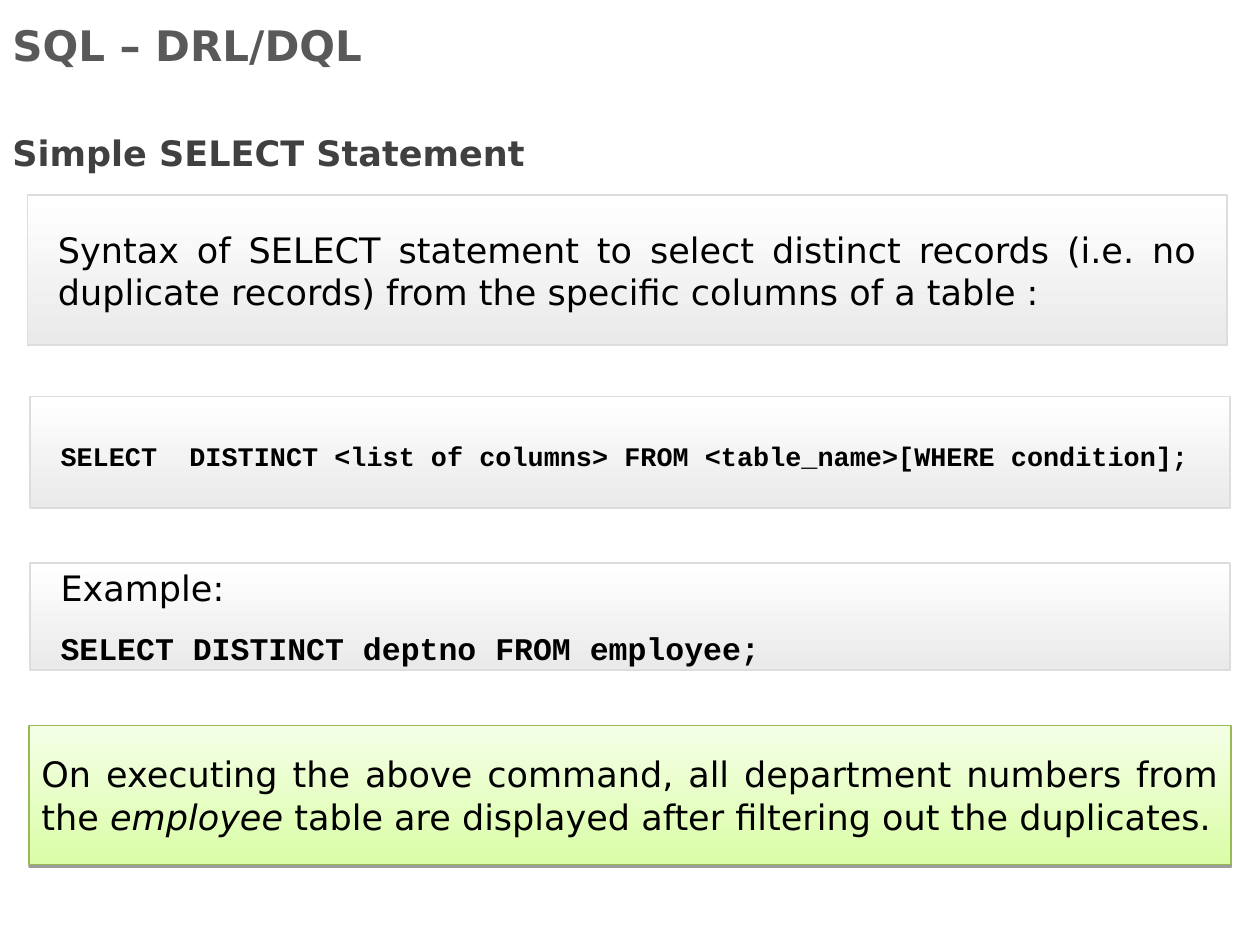
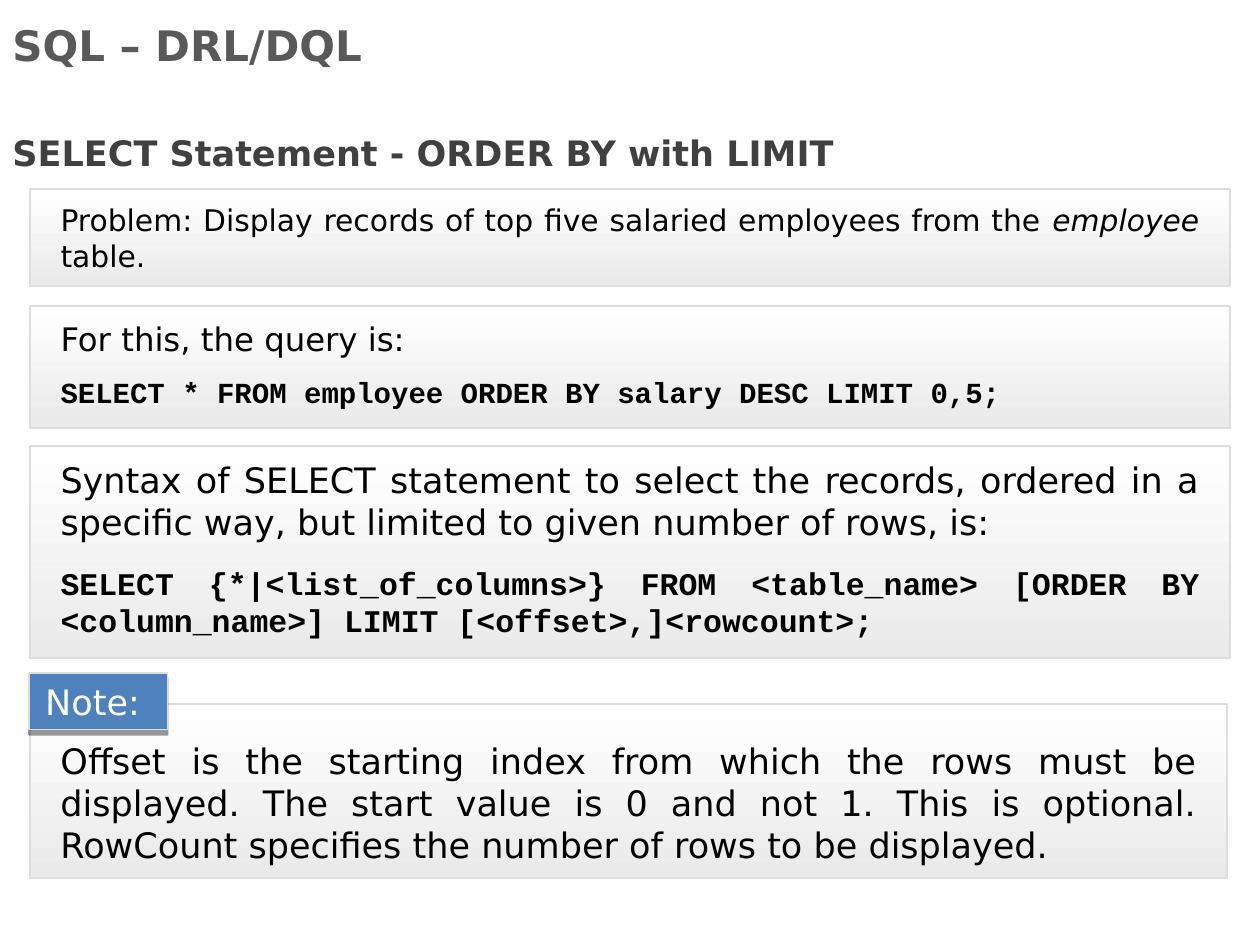
from lxml import etree
from pptx import Presentation
from pptx.dml.color import RGBColor
from pptx.enum.shapes import MSO_SHAPE
from pptx.enum.text import MSO_ANCHOR, PP_ALIGN
from pptx.oxml.ns import qn
from pptx.util import Pt

RECTANGLE = MSO_SHAPE.RECTANGLE
TOP, MIDDLE, BOTTOM = MSO_ANCHOR.TOP, MSO_ANCHOR.MIDDLE, MSO_ANCHOR.BOTTOM
LEFT, CENTER, JUSTIFY = PP_ALIGN.LEFT, PP_ALIGN.CENTER, PP_ALIGN.JUSTIFY

SANS, MONO = "DejaVu Sans", "Courier New"
BLACK, WHITE = "000000", "FFFFFF"
TITLE_GREY, HEADING_GREY, BORDER_GREY = "595959", "404040", "DDDDDD"
GREY_GRADIENT = (WHITE, "EAEAEA")
GREEN_GRADIENT = ("F5FFE6", "DAFDA7")
GREEN_BORDER, LABEL_BLUE = "98B954", "4F81BD"

PANEL_LEFT, PANEL_WIDTH, PANEL_INSET = 17.3, 685.4, 17.3
TIGHT = (PANEL_INSET, 0, PANEL_INSET, 0)
PADDED = (PANEL_INSET, 7.2, PANEL_INSET, 7.2)
TEXT_BOX_INSETS = (7.2, 3.6, 7.2, 3.6)


def color(value):
    return RGBColor.from_string(value)


def body(*runs, size=20, **layout):
    return runs, {"name": SANS, "size": Pt(size)}, {"alignment": JUSTIFY, **layout}


def code(text, size=18, **layout):
    return (text,), {"name": MONO, "size": Pt(size), "bold": True}, {"alignment": JUSTIFY, **layout}


def italic(text):
    return text, {"italic": True}


def apply(target, values):
    for name, value in values.items():
        setattr(target, name, value)


class Deck:
    def __init__(self):
        self.presentation = Presentation()
        self.presentation.slide_width = Pt(720)
        self.presentation.slide_height = Pt(540)
        self.slide = None

    def add_slide(self, heading):
        self.slide = self.presentation.slides.add_slide(self.presentation.slide_layouts[6])
        self.text_box(0, 10, 648, 31, body("SQL – DRL/DQL", size=24, alignment=LEFT), TITLE_GREY, MIDDLE)
        self.text_box(0, 59.8, 510.5, 43.2,
                      body(heading, alignment=LEFT, line_spacing=1.5), HEADING_GREY, TOP)

    def fill_text(self, shape, paragraphs, insets, anchor, font_color=BLACK, bold=None):
        frame = shape.text_frame
        margins = ("margin_left", "margin_top", "margin_right", "margin_bottom")
        apply(frame, dict(zip(margins, map(Pt, insets))))
        apply(frame, {"word_wrap": True, "vertical_anchor": anchor})
        for index, (runs, font, layout) in enumerate(paragraphs):
            paragraph = frame.add_paragraph() if index else frame.paragraphs[0]
            apply(paragraph, layout)
            for part in runs:
                text, emphasis = (part, {}) if isinstance(part, str) else part
                run = paragraph.add_run()
                run.text = text
                apply(run.font, {"bold": bold, **font, **emphasis})
                run.font.color.rgb = color(font_color)

    def text_box(self, left, top, width, height, paragraph, font_color, anchor):
        shape = self.slide.shapes.add_textbox(Pt(left), Pt(top), Pt(width), Pt(height))
        self.fill_text(shape, [paragraph], TEXT_BOX_INSETS, anchor, font_color, bold=True)

    def rectangle(self, left, top, width, height, border=BORDER_GREY, border_width=1):
        shape = self.slide.shapes.add_shape(RECTANGLE, Pt(left), Pt(top), Pt(width), Pt(height))
        shape.shadow.inherit = False
        shape.line.color.rgb = color(border)
        shape.line.width = Pt(border_width)
        return shape

    def gradient(self, shape, colors):
        shape.fill.gradient()
        shape.fill.gradient_angle = 270
        for stop, value in zip(shape.fill.gradient_stops, colors):
            stop.color.rgb = color(value)

    def shadow(self, shape, distance, opacity):
        effects = shape.element.spPr.find(qn("a:effectLst"))
        outer = etree.SubElement(effects, qn("a:outerShdw"), blurRad="0", dist=str(Pt(distance)),
                                 dir="5400000", algn="ctr", rotWithShape="0")
        shade = etree.SubElement(outer, qn("a:srgbClr"), val=BLACK)
        etree.SubElement(shade, qn("a:alpha"), val=str(opacity * 1000))

    def panel(self, top, height, *paragraphs, left=PANEL_LEFT, width=PANEL_WIDTH,
              insets=PADDED, anchor=TOP):
        shape = self.rectangle(left, top, width, height)
        self.gradient(shape, GREY_GRADIENT)
        self.fill_text(shape, paragraphs, insets, anchor)
        return shape

    def result(self, top, height, paragraph):
        shape = self.rectangle(16.6, top, 686.9, height, GREEN_BORDER, 0.75)
        self.gradient(shape, GREEN_GRADIENT)
        self.shadow(shape, 1.6, 38)
        self.fill_text(shape, [paragraph], (7.2, 0, 7.2, 0), MIDDLE)

    def note(self, top, height, paragraph):
        panel = self.panel(top, height, paragraph, width=684, anchor=BOTTOM)
        label = self.rectangle(16.6, top - 18, 79.2, 32.4)
        label.fill.solid()
        label.fill.fore_color.rgb = color(LABEL_BLUE)
        self.shadow(label, 3, 40)
        self.fill_text(label, [body("Note:", alignment=CENTER)], (0, 0, 6.5, 0), MIDDLE, WHITE)
        self.slide.shapes.add_group_shape([panel, label])


def distinct_slide(deck):
    deck.add_slide("Simple SELECT Statement")
    deck.panel(111.6, 85.7,
               body("Syntax of SELECT statement to select distinct records (i.e. no duplicate records) "
                    "from the specific columns of a table :"),
               left=15.8, insets=TIGHT, anchor=MIDDLE)
    deck.panel(226.6, 63.6,
               code("SELECT  DISTINCT <list of columns> FROM <table_name>[WHERE condition];",
                    size=15.3, alignment=LEFT, line_spacing=0.9),
               insets=(PANEL_INSET, 6, PANEL_INSET, 0), anchor=MIDDLE)
    deck.panel(321.8, 61.2,
               body("Example:", space_after=Pt(12)),
               code("SELECT DISTINCT deptno FROM employee;"),
               insets=TIGHT, anchor=MIDDLE)
    deck.result(414.7, 79.2,
                body("On executing the above command, all department numbers from the ", italic("employee "),
                     "table are displayed after filtering out the duplicates."))


def limit_slide(deck):
    deck.add_slide("SELECT Statement - ORDER BY with LIMIT")
    deck.panel(108, 55.4,
               body("Problem: Display records of top five salaried employees from the ",
                    italic("employee"), " table.", size=17),
               anchor=MIDDLE)
    deck.panel(175, 69.8,
               body("For this, the query is:", size=18.5, alignment=LEFT, space_after=Pt(12)),
               code("SELECT * FROM employee ORDER BY salary DESC LIMIT 0,5;",
                    size=16.6, alignment=LEFT, line_spacing=0.9))
    deck.panel(254.9, 121,
               body("Syntax of SELECT statement to select the records, ordered in a specific way, "
                    "but limited to given number of rows, is:", space_after=Pt(12)),
               code("SELECT {*|<list_of_columns>} FROM <table_name> [ORDER BY <column_name>] "
                    "LIMIT [<offset>,]<rowcount>;"))
    deck.note(402.5, 99.4,
              body("Offset is the starting index from which the rows must be displayed. "
                   "The start value is 0 and not 1. This is optional. "
                   "RowCount specifies the number of rows to be displayed."))


def main():
    deck = Deck()
    distinct_slide(deck)
    limit_slide(deck)
    deck.presentation.save("out.pptx")


if __name__ == "__main__":
    main()
